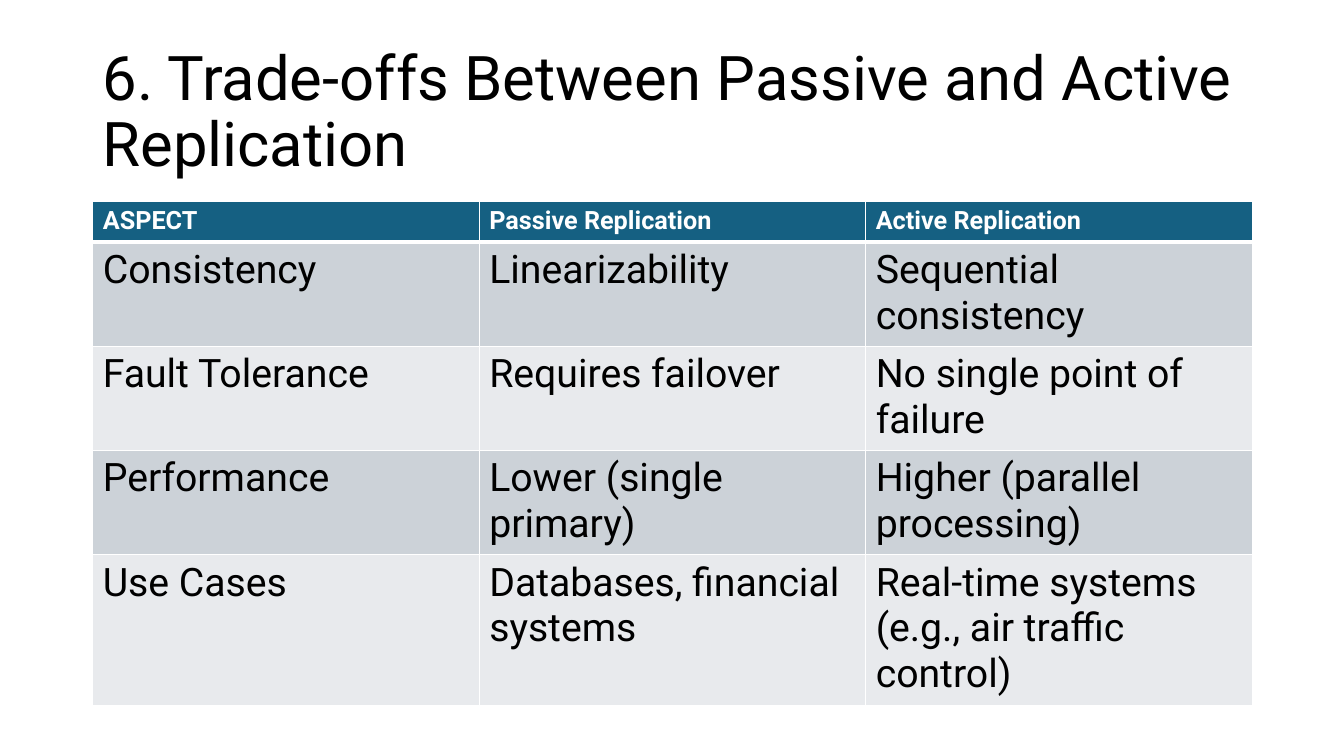
import pptx
import pptx.dml.color
import pptx.enum.text
import pptx.oxml
import pptx.oxml.ns
import pptx.util

Inches, Pt = pptx.util.Inches, pptx.util.Pt
RGBColor = pptx.dml.color.RGBColor

BLACK = RGBColor(0x00, 0x00, 0x00)
WHITE = RGBColor(0xFF, 0xFF, 0xFF)
TEAL = RGBColor(0x15, 0x60, 0x82)
BAND_DARK = RGBColor(0xCC, 0xD2, 0xD8)
BAND_LIGHT = RGBColor(0xE8, 0xEA, 0xED)

TITLE = "6. Trade-offs Between Passive and Active Replication"
TRADE_OFFS = [
    ("ASPECT", "Passive Replication", "Active Replication"),
    ("Consistency", "Linearizability", "Sequential consistency"),
    ("Fault Tolerance", "Requires failover", "No single point of failure"),
    ("Performance", "Lower (single primary)", "Higher (parallel processing)"),
    ("Use Cases", "Databases, financial systems",
     "Real-time systems (e.g., air traffic control)"),
]
ROW_HEIGHTS = [0.4, 1.01, 1.01, 1.01, 1.47]

TITLE_FONT = {"size": Pt(44), "bold": False}
HEADER_FONT = {"size": Pt(18), "bold": True}
BODY_FONT = {"size": Pt(28), "bold": False}


class SlideBuilder:
    def __init__(self, slide, font_name="Roboto"):
        self.slide = slide
        self.font_name = font_name

    def add_text(self, p, text, color, font):
        r = p.add_run()
        r.text = text
        for name, value in {"name": self.font_name, **font}.items():
            setattr(r.font, name, value)
        r.font.color.rgb = color

    def title(self, text, left, top, width, height):
        sp = self.slide.shapes.add_textbox(
            Inches(left), Inches(top), Inches(width), Inches(height))
        tf = sp.text_frame
        tf.word_wrap = True
        tf.vertical_anchor = pptx.enum.text.MSO_ANCHOR.MIDDLE
        p = tf.paragraphs[0]
        p.line_spacing = 0.9
        self.add_text(p, text, BLACK, TITLE_FONT)

    def borders(self, cell, **widths):
        """Draw white edges; widths in points are keyed L, R, T and B."""
        tc_pr = cell._tc.get_or_add_tcPr()
        for i, (side, width) in enumerate(widths.items()):
            tc_pr.insert(i, pptx.oxml.parse_xml(
                f'<a:ln{side} {pptx.oxml.ns.nsdecls("a")} w="{Pt(width)}">'
                f'<a:solidFill><a:srgbClr val="{WHITE}"/></a:solidFill>'
                f'</a:ln{side}>'))

    def table(self, rows, left, top, width, row_heights):
        """Add a table with a header row and banded body rows."""
        table = self.slide.shapes.add_table(
            len(rows), len(rows[0]), Inches(left), Inches(top),
            Inches(width), Inches(sum(row_heights))).table
        for i, (texts, height) in enumerate(zip(rows, row_heights)):
            table.rows[i].height = Inches(height)
            if i == 0:
                fill, color, font = TEAL, WHITE, HEADER_FONT
            else:
                fill = BAND_DARK if i % 2 else BAND_LIGHT
                color, font = BLACK, BODY_FONT
            for j, text in enumerate(texts):
                cell = table.cell(i, j)
                cell.fill.solid()
                cell.fill.fore_color.rgb = fill
                self.borders(cell, L=1, R=1, T=3 if i == 1 else 1,
                             B=3 if i == 0 else 1)
                self.add_text(cell.text_frame.paragraphs[0], text, color, font)


def main():
    prs = pptx.Presentation()
    prs.slide_width, prs.slide_height = Inches(13.33), Inches(7.5)
    s = SlideBuilder(prs.slides.add_slide(prs.slide_layouts[6]))
    s.title(TITLE, 0.92, 0.4, 11.5, 1.45)
    s.table(TRADE_OFFS, 0.92, 2, 11.5, ROW_HEIGHTS)
    prs.save("out.pptx")


if __name__ == "__main__":
    main()
